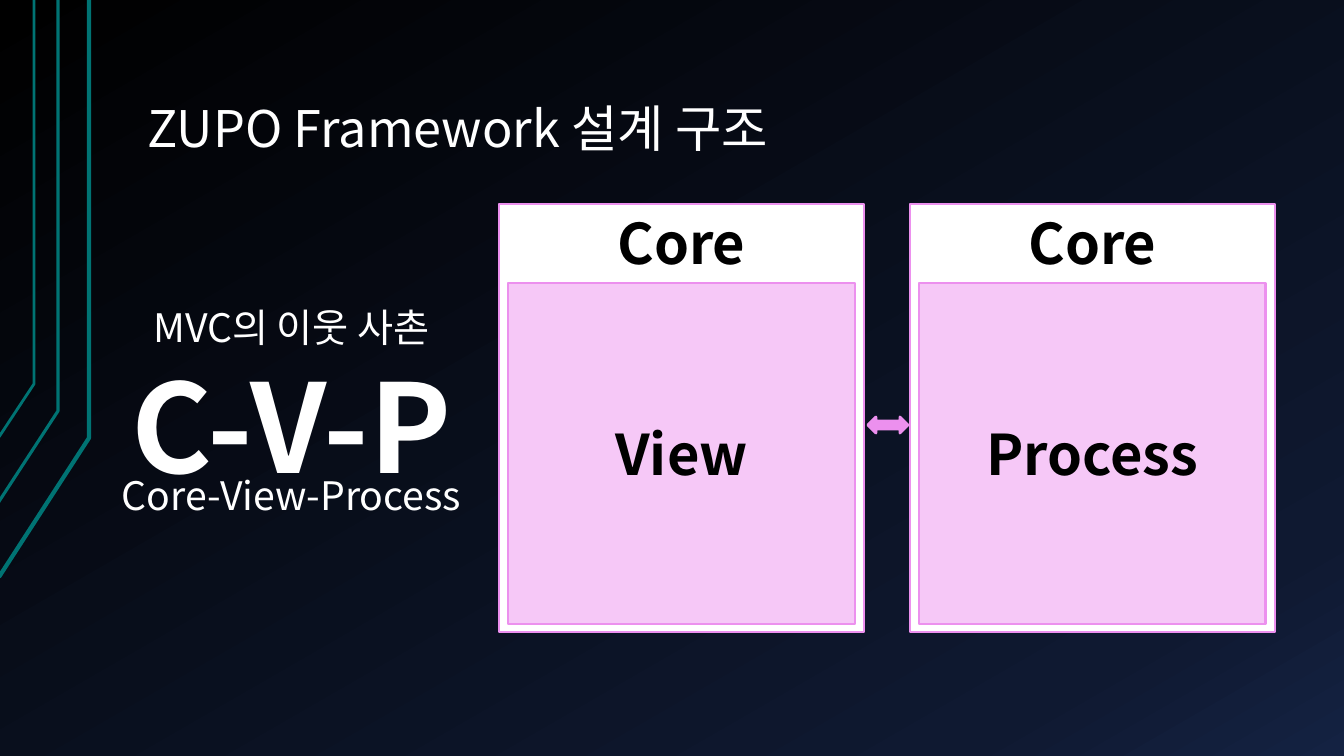
"""Build the C-V-P framework structure slide."""
import copy

import lxml.etree
import pptx
import pptx.dml.color
import pptx.enum.shapes
import pptx.enum.text
import pptx.oxml.ns
import pptx.util

RGBColor = pptx.dml.color.RGBColor
Anchor = pptx.enum.text.MSO_ANCHOR
Align = pptx.enum.text.PP_ALIGN
Shape = pptx.enum.shapes.MSO_SHAPE

WHITE = RGBColor(0xFF, 0xFF, 0xFF)
BLACK = RGBColor(0x00, 0x00, 0x00)
NAVY = RGBColor(0x0F, 0x19, 0x31)
BLUE = RGBColor(0x14, 0x22, 0x42)
TEAL = RGBColor(0x00, 0x73, 0x73)
PINK = RGBColor(0xEC, 0x90, 0xEE)
PALE_PINK = RGBColor(0xF6, 0xC8, 0xF7)

FONT = "Noto Sans CJK KR"
EMU_PER_PX = 914400 / 100.8
SLIDE_SIZE = (1344, 756)

BACKGROUND = [(0, BLACK), (0.85, NAVY), (1, BLUE)]
TRACES = [
    (3, [(-1, 577), (89, 438), (89, 0)]),
    (2.25, [(-2, 503), (58, 411), (58, 0)]),
    (2, [(-1, 437), (34, 384), (34, 0)]),
]
TITLE = "ZUPO Framework 설계 구조"
SLOGAN = [("MVC의 이웃 사촌", 28, False), ("C-V-P", 88, True)]
FULL_NAME = "Core-View-Process"
CARDS = [("Core", "View"), ("Core", "Process")]

TITLE_AREA = (134, 30, 1142, 135)
SLOGAN_AREA = (110, 298, 363, 207)
FULL_NAME_AREA = (107, 466, 369, 57)
CARD_AREA = (499, 204, 365, 428)
INNER_AREA = (508, 283, 347, 341)
ARROW_AREA = (868, 417, 40, 16)
CARD_STEP = 411


def px(length):
    return round(length * EMU_PER_PX)


def set_values(target, values):
    for name, value in values.items():
        setattr(target, name, value)


def write(frame, lines, color, align, frame_format):
    set_values(frame, frame_format)
    for index, (text, size, bold) in enumerate(lines):
        para = frame.add_paragraph() if index else frame.paragraphs[0]
        para.alignment = align
        span = para.add_run()
        span.text = text
        set_values(span.font, {"name": FONT, "size": pptx.util.Pt(size), "bold": bold})
        span.font.color.rgb = color
        east_asian = lxml.etree.SubElement(span.font._element, pptx.oxml.ns.qn("a:ea"))
        east_asian.set("typeface", FONT)
    return frame


def add_text(page, area, lines, align, frame_format):
    box = page.shapes.add_textbox(*map(px, area))
    return write(box.text_frame, lines, WHITE, align, frame_format)


def add_block(page, kind, area, fill):
    block = page.shapes.add_shape(kind, *map(px, area))
    block.shadow.inherit = False
    block.fill.solid()
    block.fill.fore_color.rgb = fill
    block.line.color.rgb = PINK
    block.line.width = pptx.util.Pt(2)
    return block


def paint_background(page):
    fill = page.background.fill
    fill.gradient()
    fill.gradient_angle = 300
    stops = fill._fill._gradFill.gsLst
    stops.append(copy.deepcopy(stops[-1]))
    for stop, (position, color) in zip(fill.gradient_stops, BACKGROUND):
        stop.position = position
        stop.color.rgb = color


def draw_traces(page):
    for width, points in TRACES:
        builder = page.shapes.build_freeform(*points[0], scale=EMU_PER_PX)
        builder.add_line_segments(points[1:], close=False)
        trace = builder.convert_to_shape()
        trace.shadow.inherit = False
        trace.fill.background()
        trace.line.color.rgb = TEAL
        trace.line.width = pptx.util.Pt(width)


def draw_cards(page):
    for index, (heading, body) in enumerate(CARDS):
        parts = [
            (CARD_AREA, heading, WHITE, Anchor.TOP),
            (INNER_AREA, body, PALE_PINK, Anchor.MIDDLE),
        ]
        for (left, *rest), text, fill, anchor in parts:
            area = (left + index * CARD_STEP, *rest)
            block = add_block(page, Shape.RECTANGLE, area, fill)
            frame_format = {"word_wrap": True, "vertical_anchor": anchor}
            write(block.text_frame, [(text, 40, True)], BLACK, Align.CENTER, frame_format)
    add_block(page, Shape.LEFT_RIGHT_ARROW, ARROW_AREA, PINK)


def main():
    deck = pptx.Presentation()
    deck.slide_width, deck.slide_height = map(px, SLIDE_SIZE)
    page = deck.slides.add_slide(deck.slide_layouts[6])
    paint_background(page)
    draw_traces(page)
    title_format = {
        "word_wrap": True, "vertical_anchor": Anchor.BOTTOM,
        "margin_left": px(13), "margin_right": px(13),
        "margin_top": px(7), "margin_bottom": px(7),
    }
    title = add_text(page, TITLE_AREA, [(TITLE, 36, False)], Align.LEFT, title_format)
    title.paragraphs[0].line_spacing = 0.9
    no_wrap = {"word_wrap": False}
    add_text(page, SLOGAN_AREA, SLOGAN, Align.CENTER, no_wrap)
    add_text(page, FULL_NAME_AREA, [(FULL_NAME, 28, False)], Align.CENTER, no_wrap)
    draw_cards(page)
    deck.save("out.pptx")


if __name__ == "__main__":
    main()
